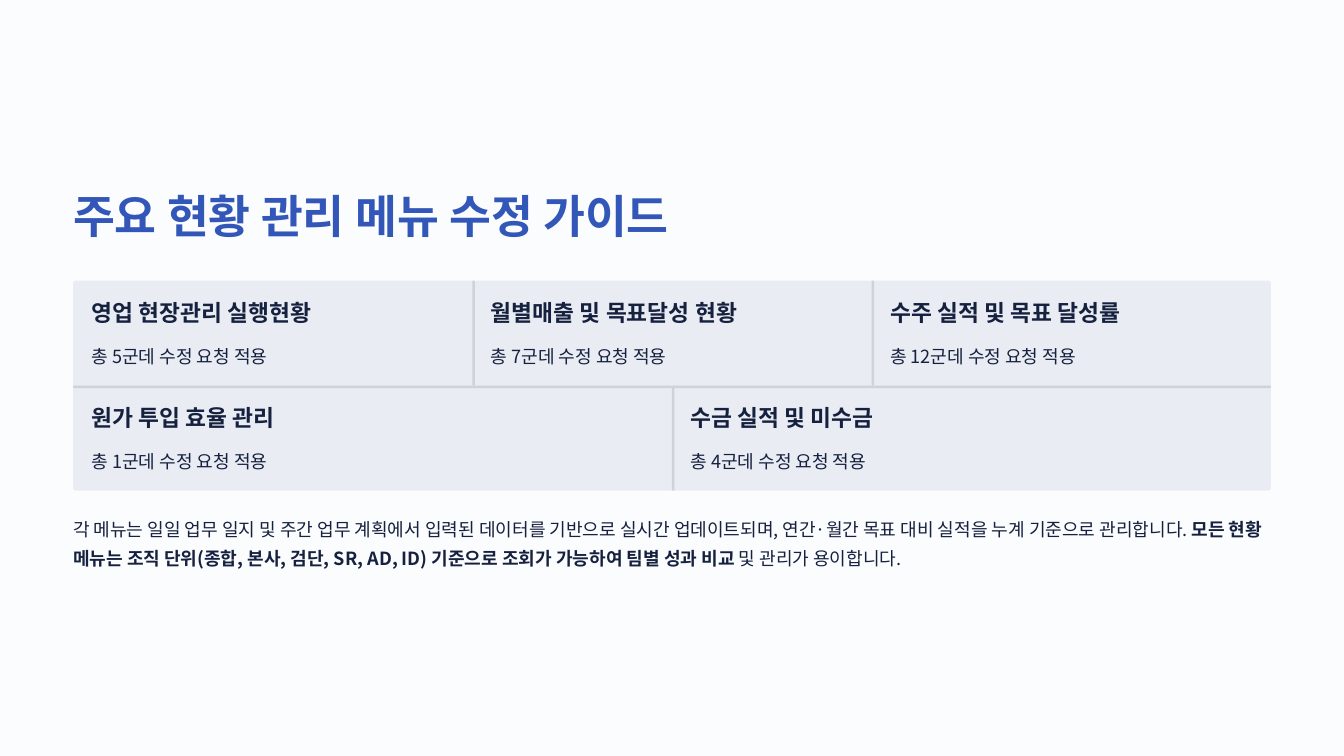
from pptx import Presentation
from pptx.dml.color import RGBColor
from pptx.enum.shapes import MSO_SHAPE as Shape
from pptx.enum.text import MSO_ANCHOR as Anchor, PP_ALIGN as Align
from pptx.oxml.ns import qn
from pptx.util import Inches, Pt
from lxml.etree import SubElement

COLORS = {
    "background": "FBFCFE",
    "title": "3257B8",
    "text": "15213F",
    "card": "E9ECF2",
    "divider": "CFD2D8",
}
FONT = "Noto Sans CJK KR"
LEFT, TOP, WIDTH = 0.87, 3.34, 14.26
ROW_HEIGHT, PADDING, DIVIDER = 1.25, 0.22, 0.03

MENU_ROWS = [
    [("영업 현장관리 실행현황", 5), ("월별매출 및 목표달성 현황", 7), ("수주 실적 및 목표 달성률", 12)],
    [("원가 투입 효율 관리", 1), ("수금 실적 및 미수금", 4)],
]
SUMMARY = [
    ("각 메뉴는 일일 업무 일지 및 주간 업무 계획에서 입력된 데이터를 기반으로 실시간 업데이트되며, "
     "연간·월간 목표 대비 실적을 누계 기준으로 관리합니다. ", False),
    ("모든 현황 메뉴는 조직 단위(종합, 본사, 검단, SR, AD, ID) 기준으로 조회가 가능하여 "
     "팀별 성과 비교 ", True),
    ("및 관리가 용이합니다.", False),
]


def add_run(paragraph, text, size=15.5, color="text", bold=False):
    run = paragraph.add_run()
    run.text = text
    run.font.name = FONT
    run.font.size = Pt(size)
    run.font.bold = bold
    run.font.color.rgb = RGBColor.from_string(COLORS[color])
    east_asian = SubElement(run.font._element, qn("a:ea"))
    east_asian.set("typeface", FONT)


class MenuSlide:
    """Draws styled elements on the current slide."""

    def __init__(self, presentation):
        self.slide = presentation.slides.add_slide(presentation.slide_layouts[6])
        fill = self.slide.background.fill
        fill.solid()
        fill.fore_color.rgb = RGBColor.from_string(COLORS["background"])

    def panel(self, left, top, width, height, color="card", radius=None):
        kind = Shape.RECTANGLE if radius is None else Shape.ROUNDED_RECTANGLE
        shape = self.slide.shapes.add_shape(
            kind, Inches(left), Inches(top), Inches(width), Inches(height))
        if radius is not None:
            shape.adjustments[0] = radius
        shape.shadow.inherit = False
        shape.fill.solid()
        shape.fill.fore_color.rgb = RGBColor.from_string(COLORS[color])
        shape.line.fill.background()

    def text(self, left, top, width, height, runs, line=25, **style):
        box = self.slide.shapes.add_textbox(
            Inches(left), Inches(top), Inches(width), Inches(height))
        frame = box.text_frame
        frame.word_wrap = True
        frame.vertical_anchor = Anchor.TOP
        frame.margin_left = frame.margin_right = 0
        frame.margin_top = frame.margin_bottom = 0
        paragraph = frame.paragraphs[0]
        paragraph.alignment = Align.LEFT
        paragraph.line_spacing = Pt(line)
        for text, bold in runs:
            add_run(paragraph, text, bold=bold, **style)

    def menu(self, row, column, width, name, count):
        left, top = LEFT + column * width, TOP + row * ROW_HEIGHT
        if column:
            self.panel(left, top, DIVIDER, ROW_HEIGHT, "divider", 0.5)
        if row:
            self.panel(left, top, width, DIVIDER, "divider", 0.5)
        inner = width - 2 * PADDING
        self.text(left + PADDING, top + 0.21, inner, 0.34, [(name, True)], line=24, size=19.5)
        self.text(left + PADDING, top + 0.68, inner, 0.35,
                  [(f"총 {count}군데 수정 요청 적용", False)])


def main():
    presentation = Presentation()
    presentation.slide_width, presentation.slide_height = Inches(16), Inches(9)
    page = MenuSlide(presentation)
    page.text(LEFT, 2.22, WIDTH, 0.68, [("주요 현황 관리 메뉴 수정 가이드", True)],
              line=48.5, size=39, color="title")
    page.panel(LEFT, TOP, WIDTH, ROW_HEIGHT * len(MENU_ROWS), radius=0.013)
    for row, menus in enumerate(MENU_ROWS):
        for column, (name, count) in enumerate(menus):
            page.menu(row, column, WIDTH / len(menus), name, count)
    page.text(LEFT, 6.08, WIDTH, 0.69, SUMMARY)
    presentation.save("out.pptx")


if __name__ == "__main__":
    main()
